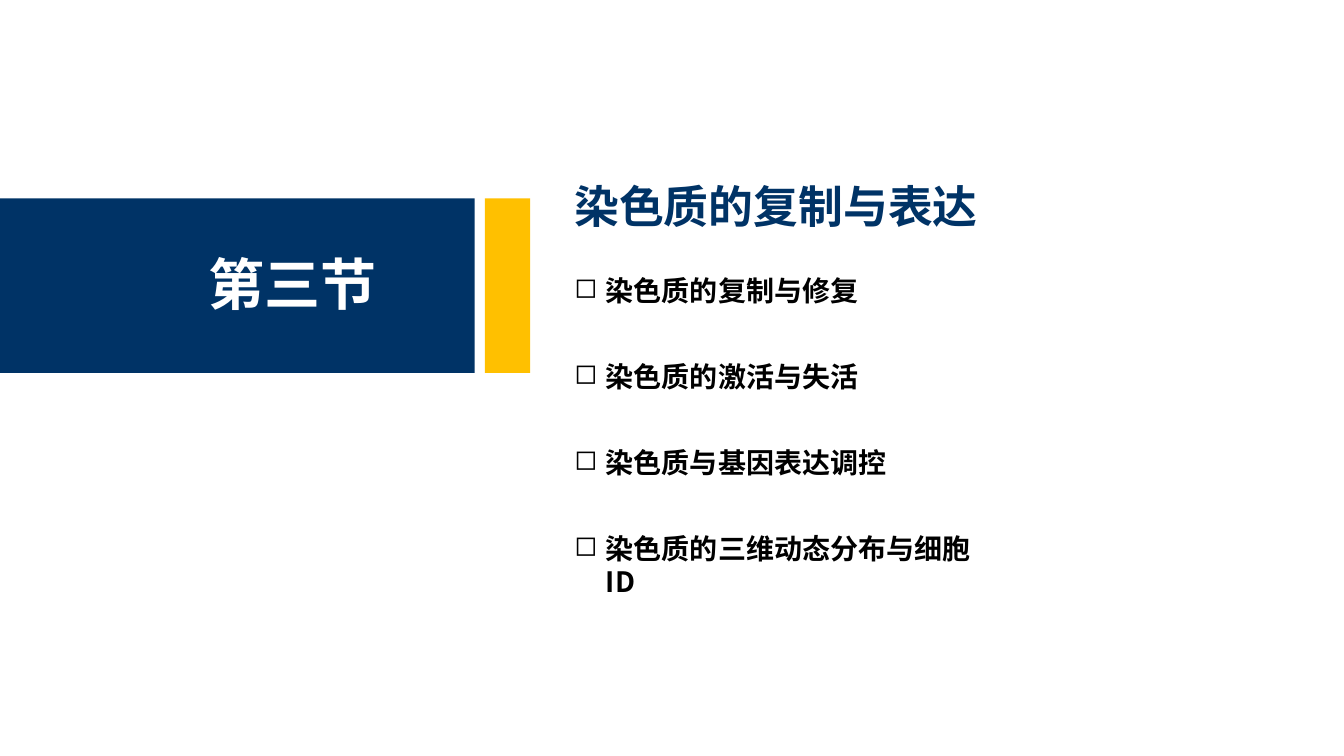
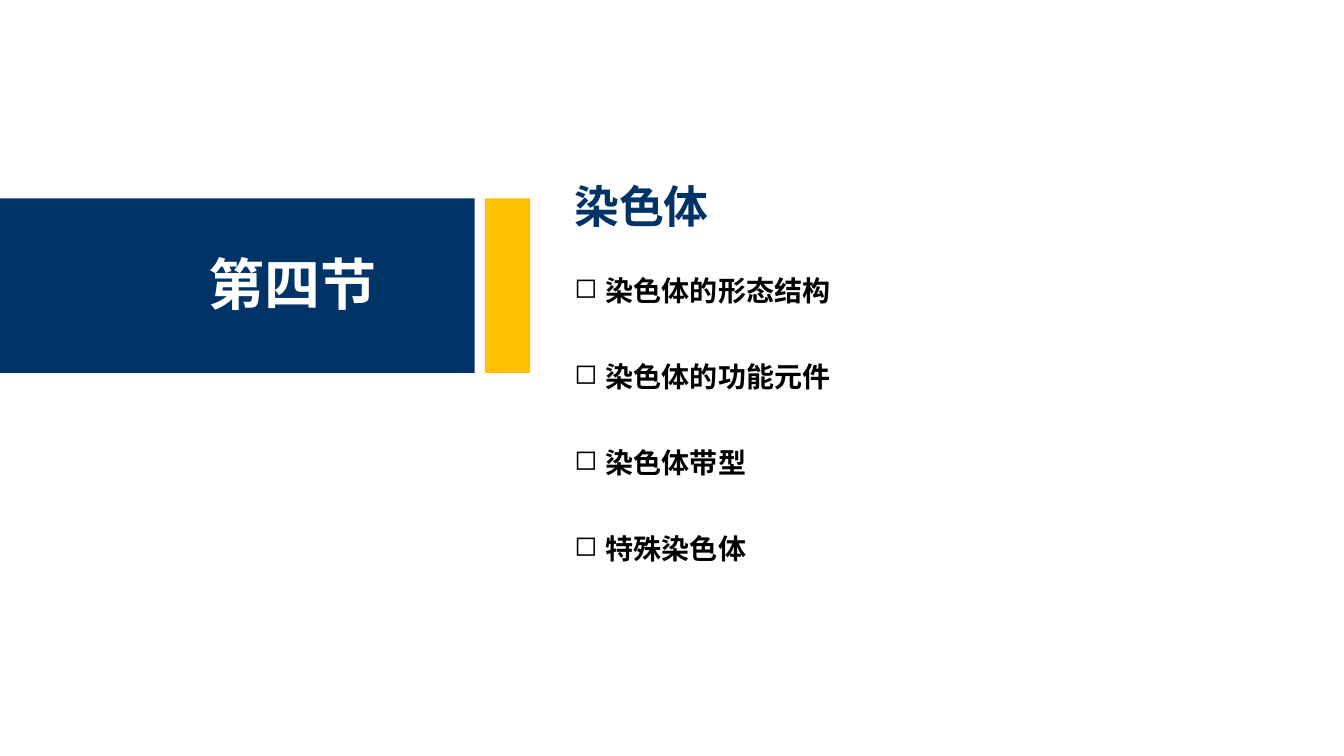
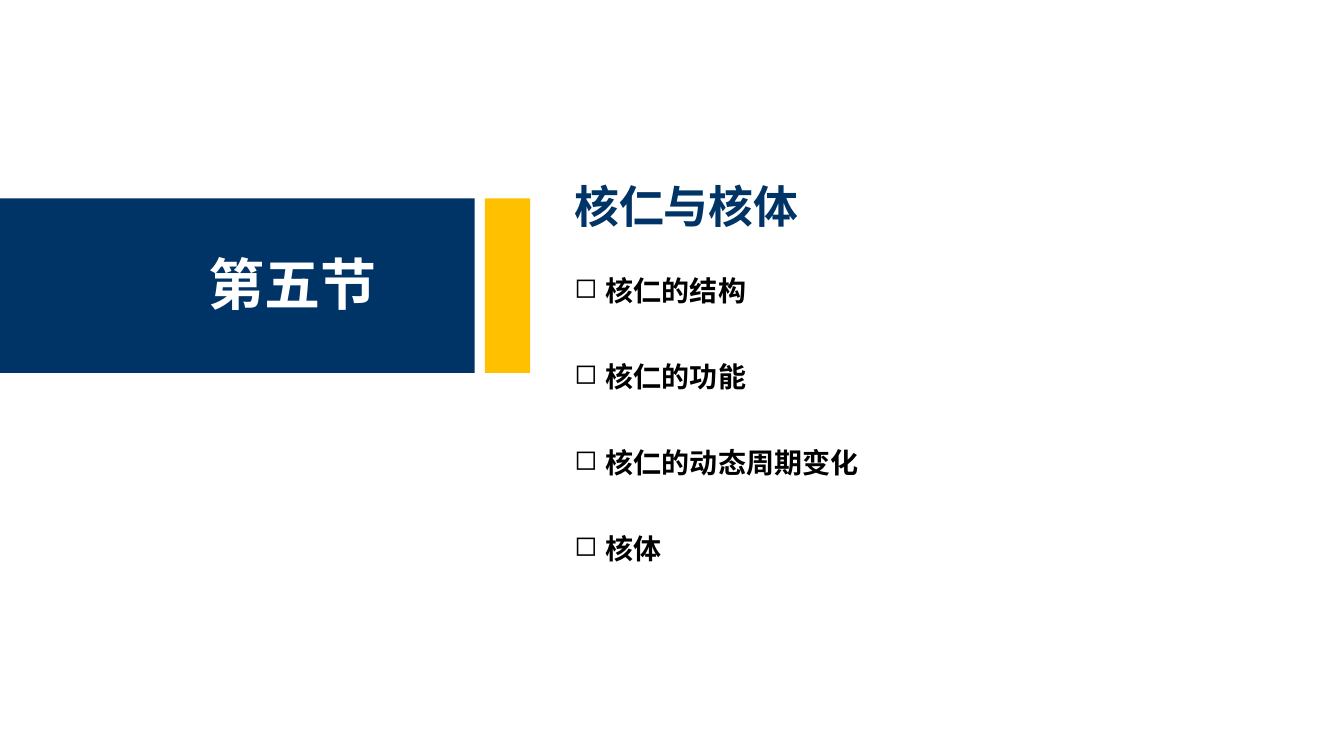
"""Build three section opener slides with a band, a title and a list of topics."""
from lxml import etree
from pptx import Presentation
from pptx.dml.color import RGBColor
from pptx.enum.shapes import MSO_SHAPE
from pptx.oxml.ns import qn
from pptx.util import Pt

RECTANGLE = MSO_SHAPE.RECTANGLE
FONT = "Noto Sans CJK SC"
COLORS = {"navy": "003366", "gold": "FFC000", "white": "FFFFFF", "black": "000000"}

BAND_TOP, BAND_HEIGHT = 141.8, 124.6
BANDS = [(0, 339, "navy"), (346.3, 32.4, "gold")]
CONTENT_LEFT = 403.2
TOPIC_TOP, TOPIC_STEP = 191.5, 61.5
BULLET_INDENT = 22.5

SECTIONS = [
    ("第三节", "染色质的复制与表达",
     ["染色质的复制与修复", "染色质的激活与失活", "染色质与基因表达调控", "染色质的三维动态分布与细胞ID"]),
    ("第四节", "染色体",
     ["染色体的形态结构", "染色体的功能元件", "染色体带型", "特殊染色体"]),
    ("第五节", "核仁与核体",
     ["核仁的结构", "核仁的功能", "核仁的动态周期变化", "核体"]),
]


def add_text(slide, text, left, top, width, height, size, color, bullet=None):
    box = slide.shapes.add_textbox(Pt(left), Pt(top), Pt(width), Pt(height))
    box.text_frame.word_wrap = True
    paragraph = box.text_frame.paragraphs[0]
    if bullet:
        properties = paragraph._p.get_or_add_pPr()
        properties.set("marL", str(Pt(BULLET_INDENT)))
        properties.set("indent", str(-Pt(BULLET_INDENT)))
        etree.SubElement(properties, qn("a:buChar"), char=bullet)
    run = paragraph.add_run()
    run.text = text
    run.font.size = Pt(size)
    run.font.bold = True
    run.font.color.rgb = RGBColor.from_string(COLORS[color])
    run.font.name = FONT
    etree.SubElement(run._r.get_or_add_rPr(), qn("a:ea"), typeface=FONT)


presentation = Presentation()
presentation.slide_width = Pt(960)
presentation.slide_height = Pt(540)
blank_layout = presentation.slide_layouts[6]

for number, title, topics in SECTIONS:
    slide = presentation.slides.add_slide(blank_layout)
    for left, width, color in BANDS:
        band = slide.shapes.add_shape(RECTANGLE, Pt(left), Pt(BAND_TOP), Pt(width), Pt(BAND_HEIGHT))
        band.shadow.inherit = False
        band.fill.solid()
        band.fill.fore_color.rgb = RGBColor.from_string(COLORS[color])
        band.line.fill.background()
    add_text(slide, number, 142, 175, 140, 55.4, size=40, color="white")
    add_text(slide, title, CONTENT_LEFT, 123.8, 403.2, 46, size=32, color="navy")
    for index, topic in enumerate(topics):
        add_text(slide, topic, CONTENT_LEFT, TOPIC_TOP + index * TOPIC_STEP, 310, 31.7,
                 size=20, color="black", bullet="◻")

presentation.save("out.pptx")
